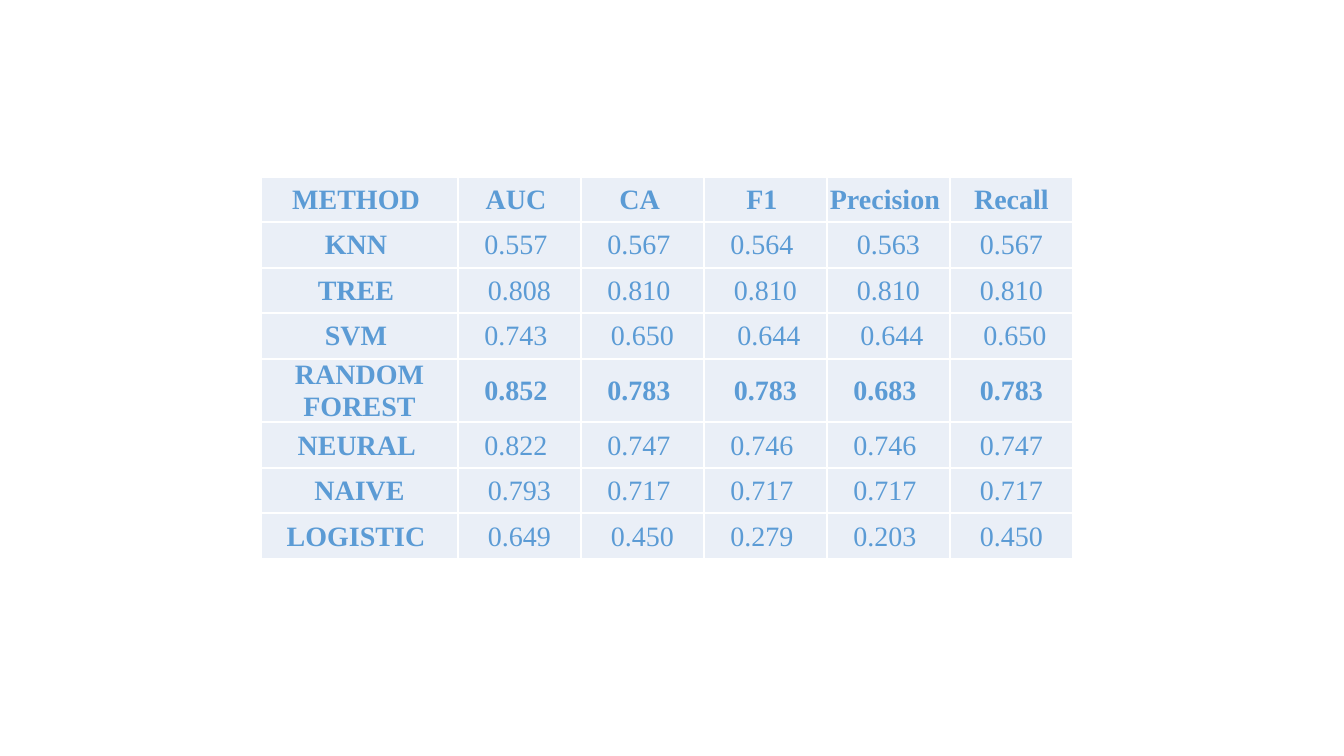
import pptx
import pptx.dml.color
import pptx.enum.text
import pptx.oxml
import pptx.oxml.ns
import pptx.util

PX = 914400 / 100.8
BLUE, PALE, WHITE = "5B9BD5", "EAEFF7", "FFFFFF"
FONT = "Times New Roman"

# Each score keeps the spacing that sets its place in the cell
SCORES = [
    ["METHOD ", "AUC ", "CA ", "F1 ", "Precision ", "Recall"],
    ["KNN ", "0.557 ", "0.567 ", "0.564 ", "0.563", "0.567"],
    ["TREE ", "0.808", "0.810 ", "0.810", " 0.810 ", "0.810"],
    ["SVM ", "0.743 ", "0.650", " 0.644", " 0.644", " 0.650"],
    ["RANDOM FOREST", "0.852 ", "0.783 ", "0.783", "0.683 ", "0.783"],
    ["NEURAL ", "0.822 ", "0.747 ", "0.746 ", "0.746 ", "0.747"],
    ["NAIVE", " 0.793 ", "0.717 ", "0.717 ", "0.717 ", "0.717"],
    ["LOGISTIC ", "0.649", "0.450", "0.279 ", "0.203 ", "0.450"],
]
BOLD_ROWS = ("METHOD", "RANDOM FOREST")
COLUMN_WIDTHS = [197] + [123] * 5
ROW_HEIGHTS = [45 + row % 2 for row in range(len(SCORES))]


def px(length):
    return pptx.util.Emu(round(length * PX))


def paint(target, colour):
    target.solid()
    target.fore_color.rgb = pptx.dml.color.RGBColor.from_string(colour)


# Slide
deck = pptx.Presentation()
deck.slide_width, deck.slide_height = px(1344), px(756)
page = deck.slides.add_slide(deck.slide_layouts[6])

# Table grid
frame = page.shapes.add_table(
    len(SCORES), len(COLUMN_WIDTHS), px(261), px(177),
    px(sum(COLUMN_WIDTHS)), px(sum(ROW_HEIGHTS)))
table = frame.table
for column, width in zip(table.columns, COLUMN_WIDTHS):
    column.width = px(width)
for row, height in zip(table.rows, ROW_HEIGHTS):
    row.height = px(height)

# Cells
for row, scores in enumerate(SCORES):
    for column, score in enumerate(scores):
        cell = table.cell(row, column)
        cell.margin_left = cell.margin_right = cell.margin_top = px(1)
        cell.margin_bottom = 0
        cell.vertical_anchor = pptx.enum.text.MSO_ANCHOR.MIDDLE

        # White borders come before the fill in the cell properties
        properties = cell._tc.get_or_add_tcPr()
        for side in ("lnL", "lnR", "lnT", "lnB"):
            properties.append(pptx.oxml.parse_xml(
                f'<a:{side} {pptx.oxml.ns.nsdecls("a")} w="12700"><a:solidFill>'
                f'<a:srgbClr val="{WHITE}"/></a:solidFill></a:{side}>'))
        paint(cell.fill, PALE)

        para = cell.text_frame.paragraphs[0]
        para.alignment = pptx.enum.text.PP_ALIGN.CENTER
        span = para.add_run()
        span.text = score
        span.font.name = FONT
        span.font.size = pptx.util.Pt(20)
        span.font.bold = column == 0 or scores[0].strip() in BOLD_ROWS
        paint(span.font.fill, BLUE)

deck.save("out.pptx")
